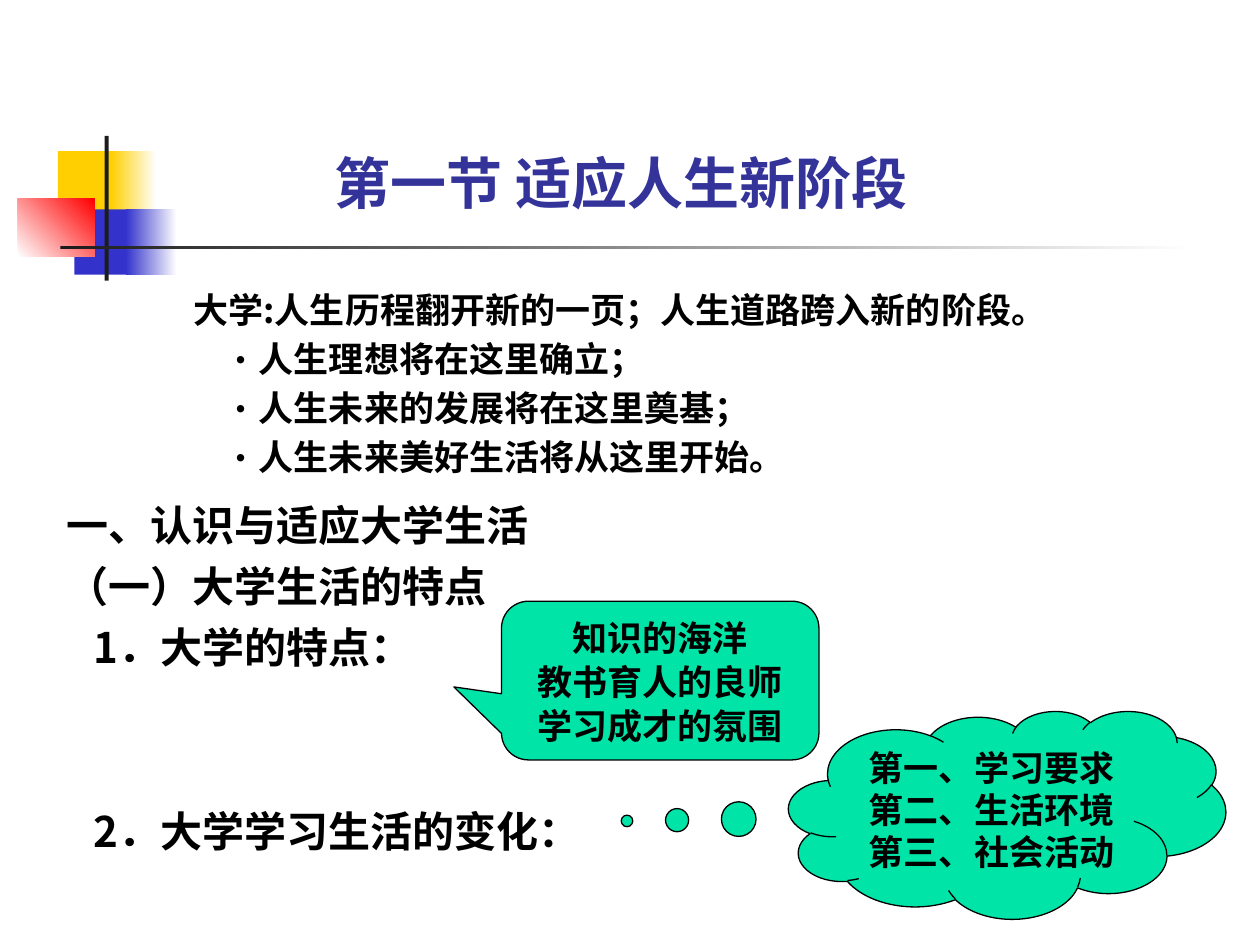
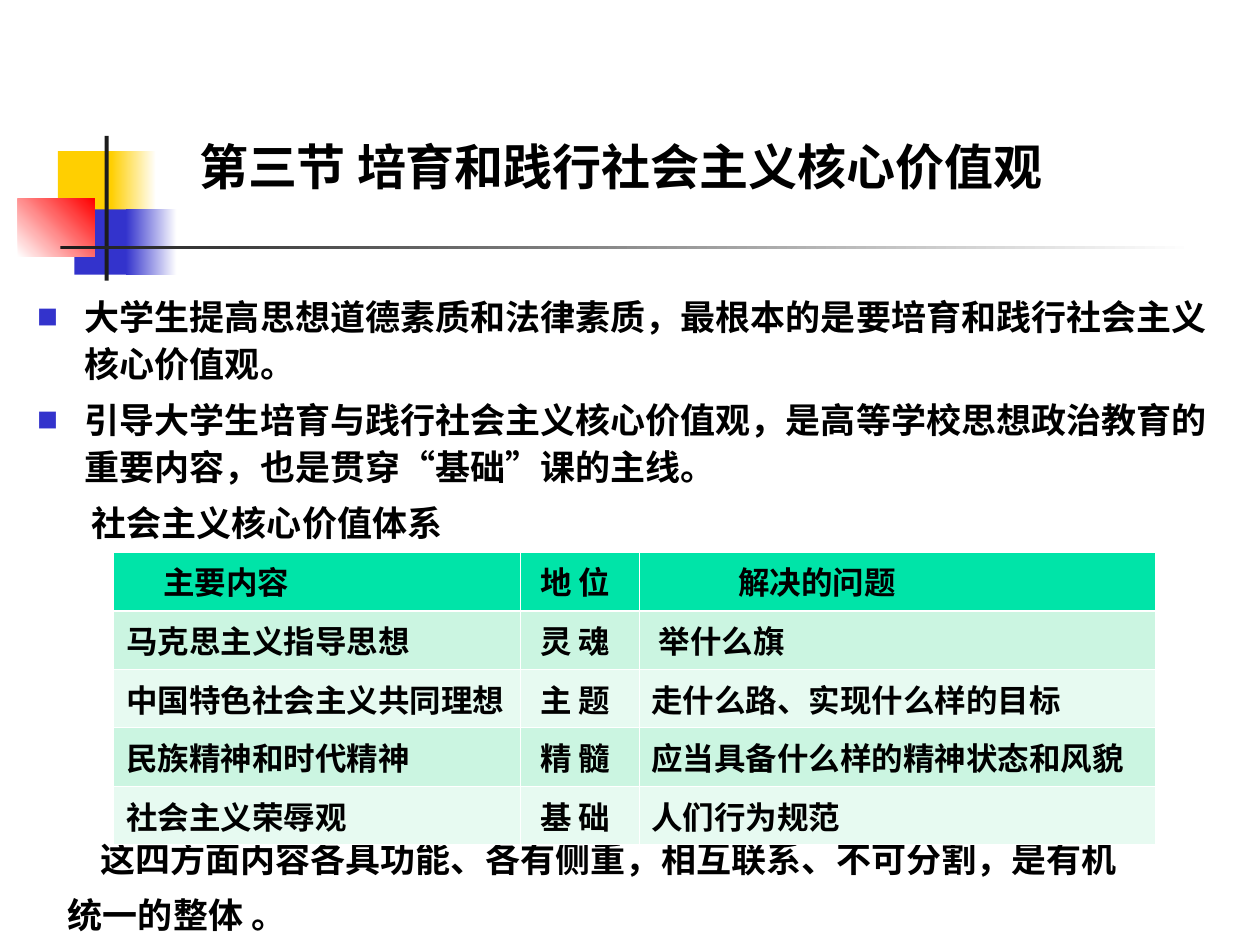
"""Build two lecture slides on university life and core values."""
from lxml import etree
from pptx import Presentation
from pptx import util as u
from pptx.dml.color import RGBColor
from pptx.enum import shapes, text
from pptx.oxml.ns import qn

COLOURS = {
    "yellow": "FFCF01", "blue": "3333CC", "red": "FF0000", "ink": "1C1C1C",
    "white": "FFFFFF", "black": "000000", "title": "333399",
    "green": "00E4A8", "mint": "CBF5E1", "pale": "E7FAF1",
}
RGB = {name: RGBColor.from_string(value) for name, value in COLOURS.items()}
KARLA, NOTO = "Karla", "Noto Sans CJK SC"
LEFT, CENTER = text.PP_ALIGN.LEFT, text.PP_ALIGN.CENTER


def write(frame, lines, size, font=KARLA, colour="black", align=LEFT, spacing=None, before=0):
    """Fill a frame; a line is (text, left margin, first indent, bullet, space before)."""
    frame.word_wrap = True
    for index, line in enumerate(lines):
        words, margin, indent, bullet, gap = line + ("", 0, 0, None, before)[len(line):]
        paragraph = frame.paragraphs[0] if index == 0 else frame.add_paragraph()
        paragraph.text = words
        paragraph.alignment = align
        paragraph.space_before = u.Pt(gap if index else 0)
        if spacing:
            paragraph.line_spacing = u.Pt(spacing)
        properties = paragraph._p.get_or_add_pPr()
        properties.set("marL", str(u.Cm(margin)))
        properties.set("indent", str(u.Cm(indent)))
        if bullet == "■":
            mark = etree.SubElement(properties, qn("a:buClr"))
            etree.SubElement(mark, qn("a:srgbClr"), val=COLOURS["blue"])
            etree.SubElement(properties, qn("a:buSzPct"), val="60000")
        if bullet:
            etree.SubElement(properties, qn("a:buFont"), typeface=NOTO)
            etree.SubElement(properties, qn("a:buChar"), char=bullet)
        else:
            etree.SubElement(properties, qn("a:buNone"))
        paragraph.font.name = font
        paragraph.font.size = u.Pt(size)
        paragraph.font.bold = True
        paragraph.font.color.rgb = RGB[colour]
        etree.SubElement(properties.find(qn("a:defRPr")), qn("a:ea"), typeface=NOTO)


def place(left, top, width, height):
    """Return a position and size in centimetres."""
    return [u.Cm(length) for length in (left, top, width, height)]


deck = Presentation()
deck.slide_width, deck.slide_height = u.Cm(25.4), u.Cm(19.05)

TITLES = [
    ("第一节 适应人生新阶段", (1.7, 1.73, 21.64, 2.74), 32, "title", CENTER),
    ("第三节 培育和践行社会主义核心价值观", (3.76, 1.93, 21.64, 2.13), 28, "black", LEFT),
]
DECORATIONS = [
    ((1.17, 3.05, 1.22, 1.32), "yellow", None, 0),
    ((2.24, 3.05, 0.91, 1.32), "yellow", "white", 0),
    ((1.5, 4.22, 1.17, 1.32), "blue", None, 0),
    ((2.54, 4.22, 1.02, 1.32), "blue", "white", 0),
    ((0.36, 4.01, 1.55, 1.17), "white", "red", 45),
    ((2.11, 2.74, 0.08, 2.92), "ink", None, 0),
    ((1.22, 4.95, 22.86, 0.08), "ink", "white", 0),
]
pages = []
for words, position, size, colour, align in TITLES:
    page = deck.slides.add_slide(deck.slide_layouts[5])
    pages.append(page)
    for area, start, end, angle in DECORATIONS:
        block = page.shapes.add_shape(shapes.MSO_SHAPE.RECTANGLE, *place(*area))
        block.shadow.inherit = False
        block.line.fill.background()
        if end:
            block.fill.gradient()
            block.fill.gradient_angle = angle
            for stop, name, offset in zip(block.fill.gradient_stops, (start, end), (0, 1)):
                stop.color.rgb = RGB[name]
                stop.position = offset
        else:
            block.fill.solid()
            block.fill.fore_color.rgb = RGB[start]
    title = page.shapes.title
    title.left, title.top, title.width, title.height = place(*position)
    title.text_frame.vertical_anchor = text.MSO_ANCHOR.BOTTOM
    write(title.text_frame, [(words,)], size, colour=colour, align=align)

adapting, values = pages

intro = adapting.shapes.add_textbox(*place(3.5, 5.72, 20, 4.39))
write(intro.text_frame, [
    ("大学:人生历程翻开新的一页；人生道路跨入新的阶段。", 0.15),
    ("人生理想将在这里确立；", 1.47, -0.71, "·"),
    ("人生未来的发展将在这里奠基；", 1.47, -0.71, "·"),
    ("人生未来美好生活将从这里开始。", 1.47, -0.71, "·"),
], 20, NOTO, spacing=23, before=5)

outline = adapting.shapes.add_textbox(*place(1.09, 9.93, 23.22, 9.12))
write(outline.text_frame, [
    ("一、认识与适应大学生活",),
    ("（一）大学生活的特点",),
    ("1．大学的特点：", 0.55),
    ("2．大学学习生活的变化：", 0.55, 0, None, 76),
], 24, NOTO, spacing=29, before=6)
outline.text_frame.paragraphs[0].font.name = KARLA

CALLOUTS = [
    (shapes.MSO_SHAPE.ROUNDED_RECTANGULAR_CALLOUT, (10.11, 12.12, 6.4, 3.2),
     (-0.65, 0.04, 0.17), 25, ["知识的海洋", "教书育人的良师", "学习成才的氛围"]),
    (shapes.MSO_SHAPE.CLOUD_CALLOUT, (15.9, 14.33, 8.81, 4.19),
     (-0.87, 0.03), 24, ["第一、学习要求", "第二、生活环境", "第三、社会活动"]),
]
for kind, area, adjustments, spacing, lines in CALLOUTS:
    callout = adapting.shapes.add_shape(kind, *place(*area))
    callout.shadow.inherit = False
    for index, value in enumerate(adjustments):
        callout.adjustments[index] = value
    callout.fill.solid()
    callout.fill.fore_color.rgb = RGB["green"]
    callout.line.color.rgb = RGB["black"]
    callout.line.width = u.Pt(0.75)
    callout.text_frame.vertical_anchor = text.MSO_ANCHOR.MIDDLE
    write(callout.text_frame, [(line,) for line in lines], 20, align=CENTER, spacing=spacing)

body = values.shapes.add_textbox(*place(0.51, 5.72, 24.41, 13.33))
write(body.text_frame, [
    ("大学生提高思想道德素质和法律素质，最根本的是要培育和践行社会主义核心价值观。",
     0.95, -0.95, "■"),
    ("引导大学生培育与践行社会主义核心价值观，是高等学校思想政治教育的重要内容，"
     "也是贯穿“基础”课的主线。", 0.95, -0.95, "■"),
    ("社会主义核心价值体系", 1.09),
    ("这四方面内容各具功能、各有侧重，相互联系、不可分割，是有机", 1.26, 0, None, 165),
    ("统一的整体 。", 0.61),
], 20, NOTO, spacing=27, before=5)

ROWS = [
    ("主要内容", "地 位", "解决的问题"),
    ("马克思主义指导思想", "灵 魂", "举什么旗"),
    ("中国特色社会主义共同理想", "主 题", "走什么路、实现什么样的目标"),
    ("民族精神和时代精神", "精 髓", "应当具备什么样的精神状态和风貌"),
    ("社会主义荣辱观", "基 础", "人们行为规范"),
]
MARGINS = {(0, 0): 1, (0, 2): 2, (1, 2): 0.4}
COLUMN_MARGINS = (0.25, 0.4, 0.25)
table = values.shapes.add_table(5, 3, *place(2.29, 11.13, 21, 5.9)).table
for column, width in zip(table.columns, (8.2, 2.39, 10.41)):
    column.width = u.Cm(width)
for row_index, row in enumerate(ROWS):
    table.rows[row_index].height = u.Cm(1.18)
    for column_index, words in enumerate(row):
        cell = table.cell(row_index, column_index)
        margin = MARGINS.get((row_index, column_index), COLUMN_MARGINS[column_index])
        cell.margin_left = u.Cm(margin)
        borders = cell._tc.get_or_add_tcPr()
        for side in "LRTB":
            heavy = (row_index, side) in ((0, "B"), (1, "T"))
            border = etree.SubElement(borders, qn("a:ln" + side), w=str(u.Pt(1.47 if heavy else 0.45)))
            paint = etree.SubElement(border, qn("a:solidFill"))
            etree.SubElement(paint, qn("a:srgbClr"), val=COLOURS["white"])
        cell.fill.solid()
        shade = "green" if row_index == 0 else ("pale", "mint")[row_index % 2]
        cell.fill.fore_color.rgb = RGB[shade]
        write(cell.text_frame, [(words,)], 18)

deck.save("out.pptx")
